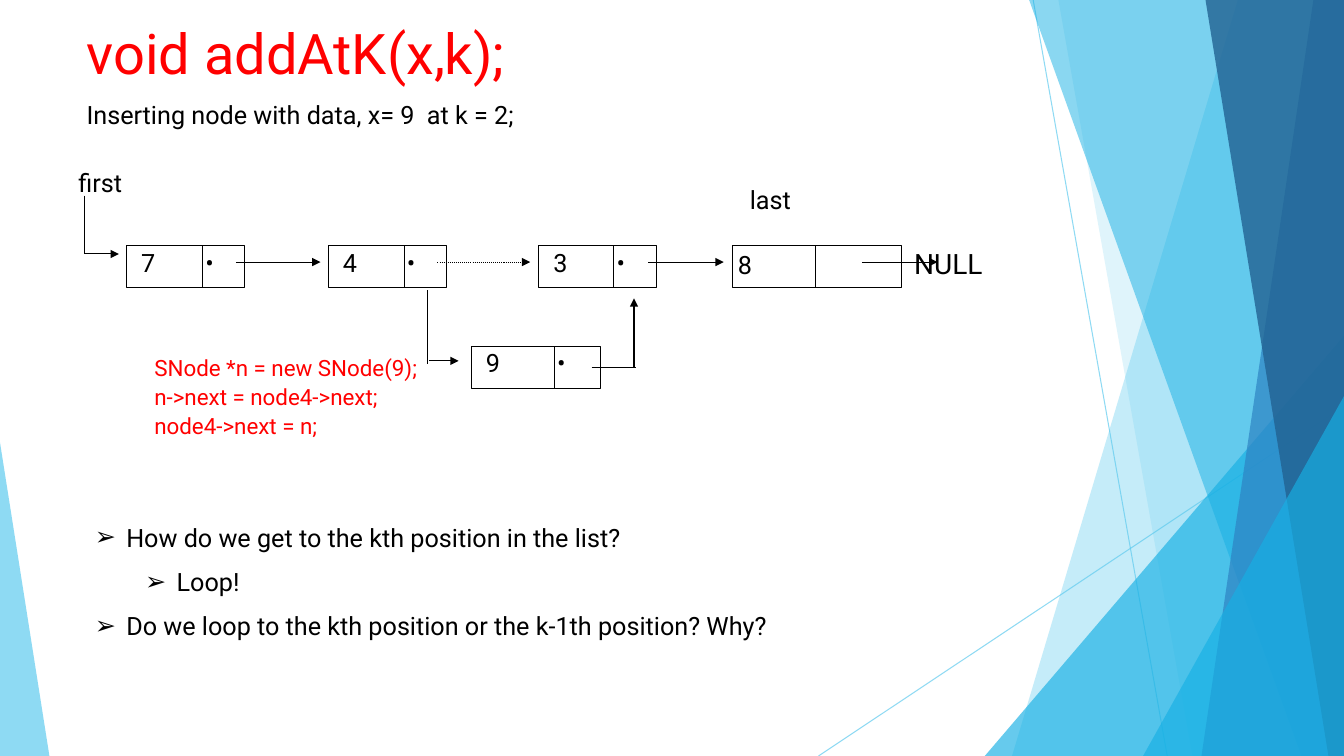
import pptx
import pptx.util
import pptx.dml.color
import pptx.enum.dml
import pptx.enum.shapes
import pptx.enum.text
import pptx.oxml.ns
from lxml import etree

Pt = pptx.util.Pt
SHAPES = pptx.enum.shapes.MSO_SHAPE
DASH = pptx.enum.dml.MSO_LINE
ANCHOR = pptx.enum.text.MSO_ANCHOR

WIDTH, HEIGHT = 960, 540
BLACK, RED, SKY, AZURE = "000000", "FF0000", "5FCBEF", "17B0E4"
FONT = "Roboto"

TITLE = "void addAtK(x,k);"
SUBTITLE = "Inserting node with data, x= 9  at k = 2;"
CODE = ["SNode *n = new SNode(9);", "n->next = node4->next;", "node4->next = n;"]
QUESTIONS = [
    (0, "How do we get to the kth position in the list?"),
    (1, "Loop!"),
    (0, "Do we loop to the kth position or the k-1th position? Why?"),
]

FACET_LINES = [((738, 0), (833.76, 540)), ((960, 290.16), (584.64, 540))]
FACETS = [
    ("band", 884.16, 722.88, SKY, 36),
    ("band", 756, 851.76, SKY, 20),
    ("triangle", (703.44, 239.76, 256.56, 300.24), 1, AZURE, 66),
    ("band", 735.12, 929.52, AZURE, 50),
    ("band", 938.16, 858.24, "2E83C3", 70),
    ("band", 861.12, 948.96, "226292", 80),
    ("triangle", (816.48, 282.96, 143.52, 257.04), 1, AZURE, 66),
    ("triangle", (0, 316.08, 35.28, 223.92), 0, SKY, 70),
]

NODE_HEIGHT = 30
DOT_GAP = 2
NODES = [
    ("7", 90.72, 175.68, 84.24, 54, 10.2, 0.7, True),
    ("4", 234.72, 175.68, 84.24, 54, 10.2, 0.7, True),
    ("3", 384.48, 175.68, 84.24, 54, 10.9, 0.7, True),
    ("8", 523.44, 175.68, 120.24, 59, 3.7, 2.7, False),
    ("9", 336.96, 247.68, 92.16, 59, 10.2, 0.7, True),
]
LABELS = [
    ("first", 48.96, 115.92, 18),
    ("last", 528.48, 128.16, 18),
    ("NULL", 653, 176.4, 20),
]
LINKS = [
    ((60.48, 139.68), (60.48, 181.44), False, DASH.SOLID),
    ((60.48, 181.44), (84.96, 181.44), True, DASH.SOLID),
    ((168.48, 187.2), (228.96, 187.2), True, DASH.SOLID),
    ((312.48, 187.2), (378.72, 187.2), True, DASH.ROUND_DOT),
    ((462.96, 187.2), (516.96, 187.2), True, DASH.SOLID),
    ((615.6, 187.2), (669.6, 187.2), True, DASH.SOLID),
    ((305.28, 207.36), (305.28, 259.92), False, DASH.SOLID),
    ((306.72, 257.76), (327.6, 257.76), True, DASH.SOLID),
    ((422.64, 262.8), (454.32, 262.8), False, DASH.SOLID),
    ((452.88, 262.8), (452.88, 213.12), True, DASH.SOLID),
]


def assign(target, values):
    for name, value in values.items():
        setattr(target, name, value)


def add_xml(parent, tag, **attributes):
    return etree.SubElement(parent, pptx.oxml.ns.qn(tag), attributes)


def paint(fill, color):
    fill.solid()
    fill.fore_color.rgb = pptx.dml.color.RGBColor.from_string(color)


def fade(shape, percent):
    for tint in shape.element.spPr.iter(pptx.oxml.ns.qn("a:srgbClr")):
        add_xml(tint, "a:alpha", val=str(percent * 1000))


def write(span, text, size, color):
    span.text = text
    assign(span.font, {"name": FONT, "size": Pt(size), "bold": False})
    paint(span.font.fill, color)


def fill_frame(box, lines, size, color, gap=0, bullet=False, inset=(7.2, 3.6), anchor=ANCHOR.TOP):
    frame = box.text_frame
    assign(frame, {
        "word_wrap": True, "auto_size": pptx.enum.text.MSO_AUTO_SIZE.NONE,
        "margin_left": Pt(inset[0]), "margin_right": Pt(min(inset[0], 7.2)),
        "margin_top": Pt(inset[1]), "margin_bottom": Pt(inset[1]),
        "vertical_anchor": anchor,
    })
    for index, (level, text) in enumerate(lines):
        para = frame.add_paragraph() if index else frame.paragraphs[0]
        assign(para, {
            "level": level, "alignment": pptx.enum.text.PP_ALIGN.LEFT,
            "space_before": Pt(gap if index else 0), "space_after": Pt(0),
        })
        if bullet:
            properties = para._p.get_or_add_pPr()
            properties.set("marL", str(Pt(22.5 + 36 * level)))
            properties.set("indent", str(Pt(-22.5)))
            add_xml(properties, "a:buChar", char="➢")
        write(para.add_run(), text, size, color)


def place(box, left, top, width, height):
    assign(box, {"left": Pt(left), "top": Pt(top), "width": Pt(width), "height": Pt(height)})


def add_text(page, bounds, lines, size, color, **layout):
    box = page.shapes.add_textbox(*map(Pt, bounds))
    fill_frame(box, lines, size, color, **layout)


def add_line(page, start, end, color=BLACK, arrow=False, dash=DASH.SOLID):
    line = page.shapes.add_connector(
        pptx.enum.shapes.MSO_CONNECTOR.STRAIGHT, *map(Pt, start + end))
    paint(line.line.fill, color)
    assign(line.line, {"width": Pt(0.75), "dash_style": dash})
    if arrow:
        add_xml(line.line._get_or_add_ln(), "a:tailEnd", type="triangle")
    add_xml(line.element.spPr, "a:effectLst")
    return line


def add_facets(page):
    for start, end in FACET_LINES:
        fade(add_line(page, start, end, SKY), 70)
    for kind, outline, slant, color, opacity in FACETS:
        if kind == "band":
            builder = page.shapes.build_freeform(Pt(outline), 0)
            corners = [(WIDTH, 0), (WIDTH, HEIGHT), (slant, HEIGHT)]
            builder.add_line_segments([(Pt(x), Pt(y)) for x, y in corners], close=True)
            facet = builder.convert_to_shape()
        else:
            facet = page.shapes.add_shape(SHAPES.ISOSCELES_TRIANGLE, *map(Pt, outline))
            facet.adjustments[0] = slant
        facet.shadow.inherit = False
        paint(facet.fill, color)
        facet.line.fill.background()
        fade(facet, opacity)


def add_node(page, value, left, top, width, split, indent, drop, dotted):
    cell = page.shapes.add_shape(SHAPES.RECTANGLE, *map(Pt, (left, top, width, NODE_HEIGHT)))
    cell.shadow.inherit = False
    cell.fill.background()
    paint(cell.line.fill, BLACK)
    cell.line.width = Pt(0.75)
    divider = left + split
    add_line(page, (divider, top), (divider, top + NODE_HEIGHT))
    marks = [(value, left + indent)] + ([("•", divider + DOT_GAP)] if dotted else [])
    for text, x in marks:
        add_text(page, (x, top + drop, 20, 22), [(0, text)], 18, BLACK, inset=(0, 0))


def main():
    deck = pptx.Presentation()
    assign(deck, {"slide_width": Pt(WIDTH), "slide_height": Pt(HEIGHT)})
    page = deck.slides.add_slide(deck.slide_layouts[1])
    title, body = page.shapes.title, page.placeholders[1]
    add_facets(page)
    place(title, 54.72, -7.92, 612, 90)
    fill_frame(title, [(0, TITLE)], 40, RED, anchor=ANCHOR.MIDDLE)
    add_text(page, (54.72, 67.68, 581.76, 28.8), [(0, SUBTITLE)], 18, BLACK)
    for node in NODES:
        add_node(page, *node)
    for start, end, arrow, dash in LINKS:
        add_line(page, start, end, arrow=arrow, dash=dash)
    for text, left, top, size in LABELS:
        inset = (0, 0) if text == "NULL" else (7.2, 3.6)
        add_text(page, (left, top, 60, 28.8), [(0, text)], size, BLACK, inset=inset)
    add_text(page, (4.32, 249.12, 302.4, 73.44), [(0, line) for line in CODE],
             16, RED, gap=1.6, inset=(106, 3.6))
    place(body, 60.48, 369.36, 581.76, 92.88)
    fill_frame(body, QUESTIONS, 18, BLACK, gap=10, bullet=True)
    deck.save("out.pptx")


if __name__ == "__main__":
    main()
